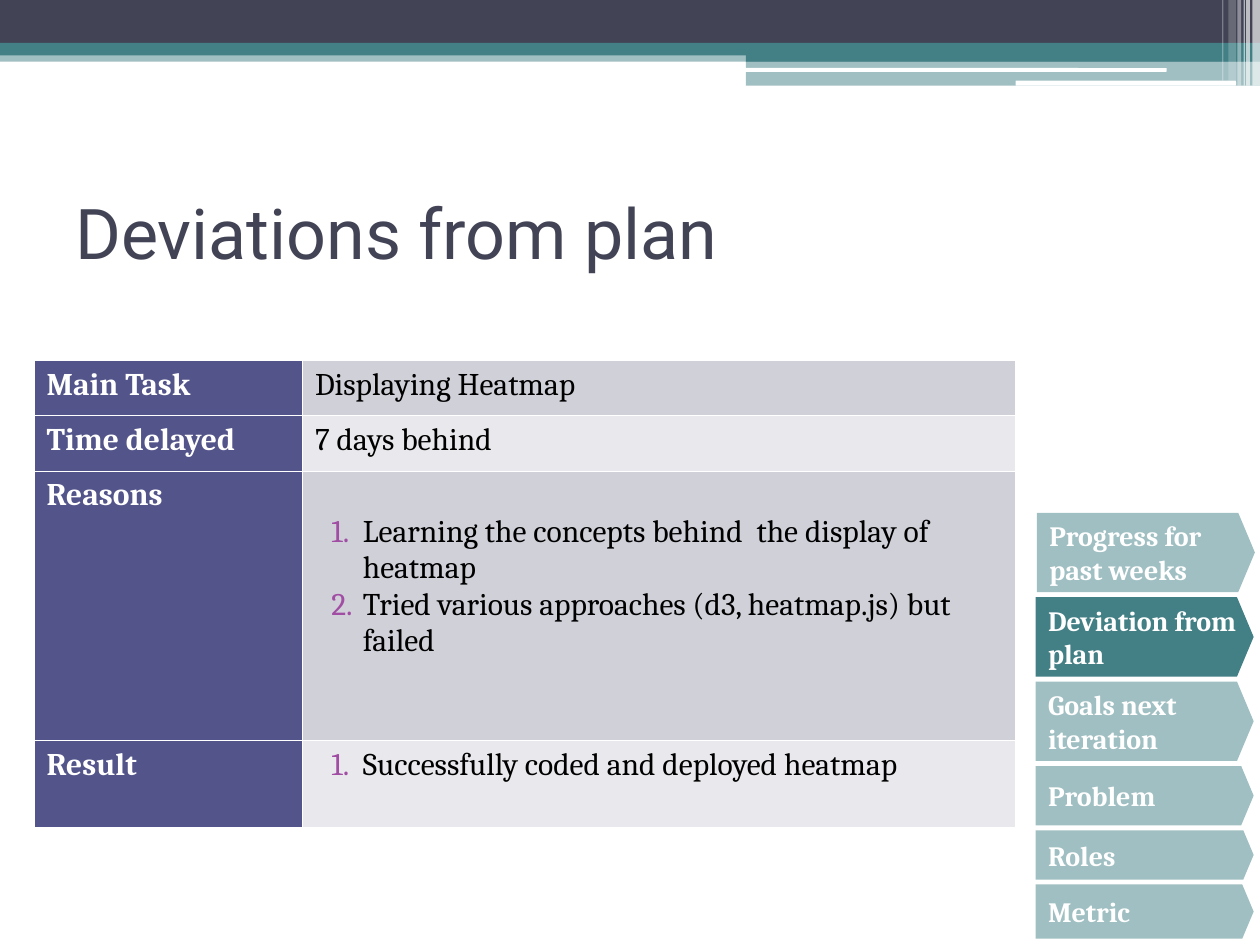
from lxml.etree import SubElement
from pptx import Presentation
from pptx.dml.color import RGBColor
from pptx.enum.shapes import MSO_SHAPE
from pptx.enum.text import MSO_ANCHOR, PP_ALIGN
from pptx.oxml.ns import qn
from pptx.util import Inches, Pt

TEAL = RGBColor(0x43, 0x80, 0x86)
SLATE = RGBColor(0x42, 0x44, 0x56)
WHITE = RGBColor(0xFF, 0xFF, 0xFF)
BLACK = RGBColor(0, 0, 0)
INDIGO = RGBColor(0x53, 0x54, 0x8A)
BAND_DARK = RGBColor(0xD0, 0xD0, 0xD9)
BAND_LIGHT = RGBColor(0xE9, 0xE9, 0xED)
PURPLE = RGBColor(0xA0, 0x4D, 0xA3)

# Header: left, top, width, height, colour, opacity in percent
BANDS = [
    (0, 0.4, 10, 0.09, TEAL, 50),
    (0, 0, 10, 0.34, SLATE, 100),
    (0, 0.34, 10, 0.1, TEAL, 100),
    (5.92, 0.39, 4.08, 0.1, TEAL, 100),
    (5.92, 0.48, 4.08, 0.2, TEAL, 50),
]
ROUNDED_BARS = [(5.91, 0.54, 3.35, 0.03), (8.06, 0.64, 1.75, 0.04)]
# Stripes at the right edge: left, width, height, opacity
STRIPES = [
    (9.94, 0.06, 0.68, 65),
    (9.89, 0.03, 0.68, 65),
    (9.87, 0.01, 0.68, 60),
    (9.82, 0.03, 0.68, 40),
    (9.75, 0.06, 0.64, 20),
    (9.7, 0.01, 0.64, 30),
]

# Navigation: label, left, height
CURRENT_SECTION = "Deviation from plan"
SECTIONS = [
    ("Progress for past weeks", 8.23, 0.63),
    (CURRENT_SECTION, 8.22, 0.63),
    ("Goals next iteration", 8.22, 0.63),
    ("Problem", 8.22, 0.47),
    ("Roles", 8.22, 0.39),
    ("Metric", 8.22, 0.43),
]
SECTION_TOP, SECTION_GAP, SECTION_WIDTH = 4.07, 0.04, 1.73

# Table: heading, lines, numbered, row height, top margin of the detail
ROWS = [
    ("Main Task", ["Displaying Heatmap"], False, 0.44, 0.05),
    ("Time delayed", ["7 days behind"], False, 0.44, 0.05),
    ("Reasons", ["Learning the concepts behind  the display of heatmap",
                 "Tried various approaches (d3, heatmap.js) but failed"],
     True, 2.14, 0.34),
    ("Result", ["Successfully coded and deployed heatmap"], True, 0.69, 0.05),
]
COLUMN_WIDTHS = (2.13, 5.66)


def format_runs(paragraph, font_name, size, color, bold=False):
    for run in paragraph.runs:
        run.font.name = font_name
        run.font.size = Pt(size)
        run.font.color.rgb = color
        run.font.bold = bold


def add_filled(slide, kind, left, top, width, height, color, opacity=100):
    shape = slide.shapes.add_shape(
        kind, Inches(left), Inches(top), Inches(width), Inches(height))
    shape.shadow.inherit = False
    shape.line.fill.background()
    shape.fill.solid()
    shape.fill.fore_color.rgb = color
    if opacity < 100:
        srgb = next(shape.fill._xPr.iter(qn("a:srgbClr")))
        SubElement(srgb, qn("a:alpha"), val=str(opacity * 1000))
    return shape


def add_header(slide):
    for left, top, width, height, color, opacity in BANDS:
        add_filled(slide, MSO_SHAPE.RECTANGLE, left, top, width, height,
                   color, opacity)
    for bar in ROUNDED_BARS:
        add_filled(slide, MSO_SHAPE.ROUNDED_RECTANGLE, *bar, WHITE)
    for left, width, height, opacity in STRIPES:
        add_filled(slide, MSO_SHAPE.RECTANGLE, left, 0, width, height,
                   WHITE, opacity)


def add_title(slide, text):
    title = slide.shapes.add_textbox(
        Inches(0.5), Inches(1.25), Inches(9), Inches(1.17))
    frame = title.text_frame
    frame.word_wrap = True
    frame.vertical_anchor = MSO_ANCHOR.MIDDLE
    frame.text = text
    format_runs(frame.paragraphs[0], "Roboto", 40, SLATE)


def add_section_tag(slide, label, left, top, height):
    opacity = 100 if label == CURRENT_SECTION else 50
    tag = add_filled(slide, MSO_SHAPE.PENTAGON, left, top, SECTION_WIDTH,
                     height, TEAL, opacity)
    tag.adjustments[0] = 0.21
    frame = tag.text_frame
    frame.word_wrap = True
    frame.vertical_anchor = MSO_ANCHOR.MIDDLE
    frame.margin_right = Inches(0.03)
    frame.text = label
    frame.paragraphs[0].alignment = PP_ALIGN.LEFT
    format_runs(frame.paragraphs[0], "Cambria", 16, WHITE, bold=True)


def number_paragraph(paragraph):
    properties = paragraph._p.get_or_add_pPr()
    properties.set("marL", str(Inches(0.38)))
    properties.set("indent", str(Inches(-0.25)))
    bullet_color = SubElement(properties, qn("a:buClr"))
    SubElement(bullet_color, qn("a:srgbClr"), val=str(PURPLE))
    SubElement(properties, qn("a:buAutoNum"), type="arabicPeriod")


def fill_cell(cell, lines, fill, color, bold=False, numbered=False):
    # Borders come before the fill in the cell properties
    properties = cell._tc.get_or_add_tcPr()
    for side in ("lnL", "lnR", "lnT", "lnB"):
        border = SubElement(properties, qn(f"a:{side}"), w=str(Pt(0.45)))
        SubElement(SubElement(border, qn("a:solidFill")),
                   qn("a:srgbClr"), val=str(WHITE))
    cell.fill.solid()
    cell.fill.fore_color.rgb = fill
    cell.text_frame.text = "\n".join(lines)
    for paragraph in cell.text_frame.paragraphs:
        if numbered:
            number_paragraph(paragraph)
        format_runs(paragraph, "Cambria", 18, color, bold)


def add_deviation_table(slide):
    row_heights = [row[3] for row in ROWS]
    table = slide.shapes.add_table(
        len(ROWS), len(COLUMN_WIDTHS), Inches(0.27), Inches(2.86),
        Inches(sum(COLUMN_WIDTHS)), Inches(sum(row_heights))).table
    table.first_row = False
    table.horz_banding = False
    for column, width in zip(table.columns, COLUMN_WIDTHS):
        column.width = Inches(width)
    for index, (heading, lines, numbered, height, top) in enumerate(ROWS):
        table.rows[index].height = Inches(height)
        fill_cell(table.cell(index, 0), [heading], INDIGO, WHITE, bold=True)
        detail = table.cell(index, 1)
        detail.margin_top = Inches(top)
        band = BAND_LIGHT if index % 2 else BAND_DARK
        fill_cell(detail, lines, band, BLACK, numbered=numbered)


def main():
    presentation = Presentation()
    presentation.slide_width = Inches(10)
    presentation.slide_height = Inches(7.5)
    slide = presentation.slides.add_slide(presentation.slide_layouts[6])

    add_header(slide)
    add_title(slide, "Deviations from plan")

    # Navigation tags stacked with equal gaps
    top = SECTION_TOP
    for label, left, height in SECTIONS:
        add_section_tag(slide, label, left, top, height)
        top += height + SECTION_GAP

    add_deviation_table(slide)
    presentation.save("out.pptx")


if __name__ == "__main__":
    main()
